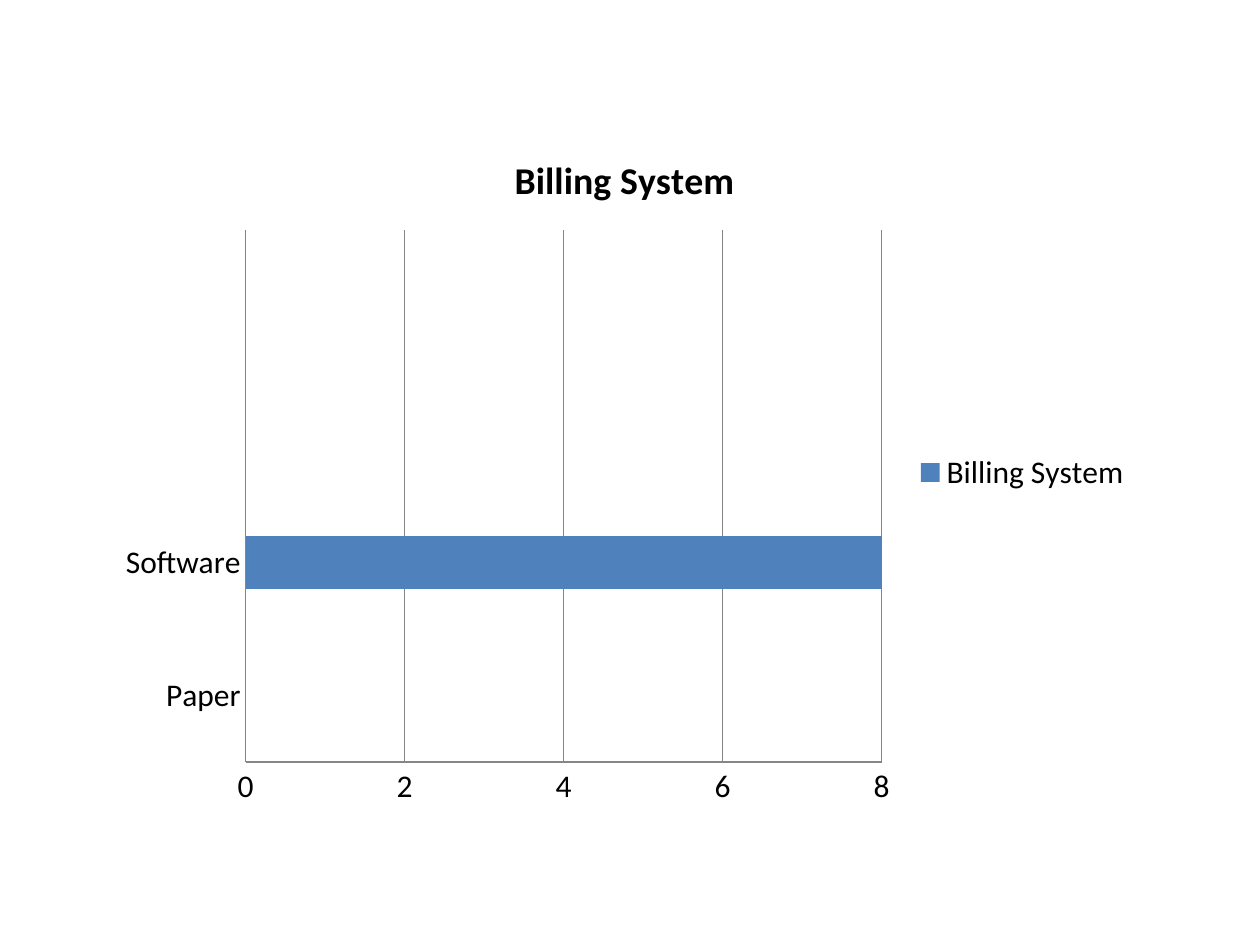
from pptx import Presentation
from pptx.chart.data import CategoryChartData
from pptx.dml.color import RGBColor
from pptx.enum import chart as chart_enum
from pptx.util import Pt

COLORS = {"text": "000000", "bar": "4F81BD", "line": "868686"}

presentation = Presentation()
presentation.slide_width, presentation.slide_height = Pt(720), Pt(540)
slide = presentation.slides.add_slide(presentation.slide_layouts[6])

# Data: two named categories, then two unused rows
billing_data = CategoryChartData(number_format="General")
billing_data.categories = ["Paper", "Software", "", ""]
billing_data.add_series("Billing System", [0, 8, None, None])
chart = slide.shapes.add_chart(
    chart_enum.XL_CHART_TYPE.BAR_CLUSTERED,
    Pt(60), Pt(72), Pt(594), Pt(396), billing_data,
).chart
chart.font.name = "Calibri"
chart.font.size = Pt(18)
chart.font.color.rgb = RGBColor.from_string(COLORS["text"])

# Title
chart.has_title = True
title_run = chart.chart_title.text_frame.paragraphs[0].add_run()
title_run.text = "Billing System"
title_run.font.name = "Calibri"
title_run.font.size = Pt(21.6)
title_run.font.bold = True
title_run.font.color.rgb = RGBColor.from_string(COLORS["text"])
chart.chart_title.include_in_layout = False

# Legend
chart.has_legend = True
chart.legend.position = chart_enum.XL_LEGEND_POSITION.RIGHT
chart.legend.include_in_layout = False

# Bars
plot = chart.plots[0]
plot.gap_width = 150
plot.vary_by_categories = False
bar_fill = plot.series[0].format.fill
bar_fill.solid()
bar_fill.fore_color.rgb = RGBColor.from_string(COLORS["bar"])

# Axes and gridlines
value_axis = chart.value_axis
value_axis.minimum_scale, value_axis.maximum_scale = 0, 8
value_axis.major_unit = 2
value_axis.has_major_gridlines = True
chart.category_axis.has_major_gridlines = False
for axis in (chart.category_axis, value_axis):
    axis.major_tick_mark = chart_enum.XL_TICK_MARK.NONE
    axis.minor_tick_mark = chart_enum.XL_TICK_MARK.NONE
for part in (chart.category_axis, value_axis, value_axis.major_gridlines):
    part.format.line.width = Pt(0.75)
    part.format.line.color.rgb = RGBColor.from_string(COLORS["line"])

presentation.save("out.pptx")
